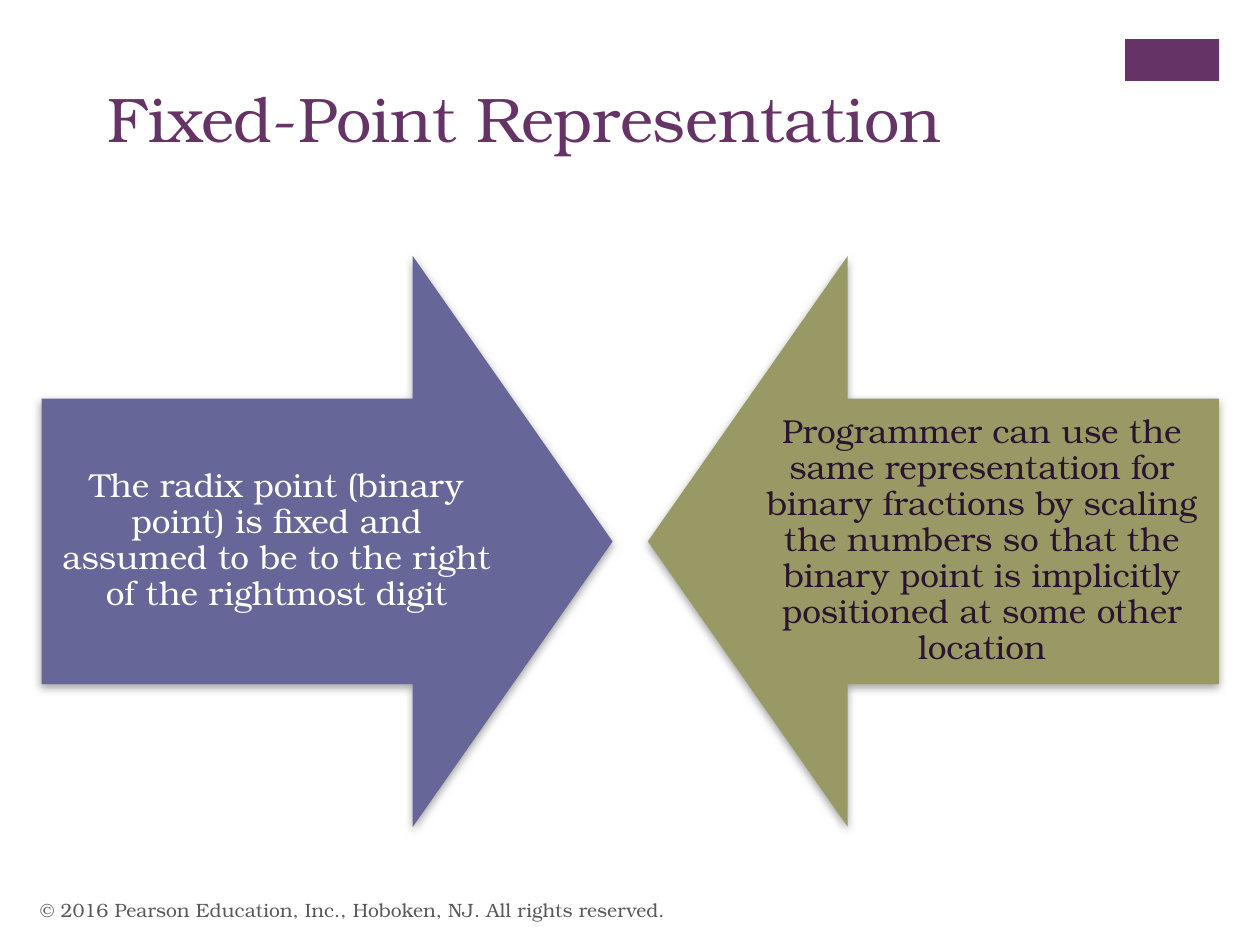
"""Build the Fixed-Point Representation slide with two facing arrows."""
from dataclasses import dataclass

from lxml import etree
from pptx import Presentation
from pptx.dml.color import RGBColor
from pptx.enum.shapes import MSO_SHAPE as Shape
from pptx.enum.text import MSO_ANCHOR as Anchor, MSO_AUTO_SIZE as AutoSize, PP_ALIGN as Align
from pptx.oxml import parse_xml
from pptx.oxml.ns import qn
from pptx.util import Cm, Pt


@dataclass(frozen=True)
class Theme:
    font: str = "TeX Gyre Bonum"
    plum: str = "663366"
    blue: str = "666699"
    olive: str = "999966"
    white: str = "FFFFFF"
    dark: str = "2B142D"
    grey: str = "595959"
    shadow: str = "808080"
    title_size: int = 36
    body_size: int = 19
    footer_size: int = 11


theme = Theme()


def add_filled(slide, kind, left, top, width, height, color):
    shape = slide.shapes.add_shape(kind, Cm(left), Cm(top), Cm(width), Cm(height))
    shape.shadow.inherit = False
    shape.fill.solid()
    shape.fill.fore_color.rgb = RGBColor.from_string(color)
    shape.line.fill.background()
    return shape


def write(shape, text, size, color, align, anchor):
    frame = shape.text_frame
    frame.word_wrap = True
    frame.auto_size = AutoSize.NONE
    frame.vertical_anchor = anchor
    paragraph = frame.paragraphs[0]
    paragraph.alignment = align
    run = paragraph.add_run()
    run.text = text
    run.font.name = theme.font
    run.font.size = Pt(size)
    run.font.color.rgb = RGBColor.from_string(color)
    return frame


presentation = Presentation()
presentation.slide_width = Cm(25.4)
presentation.slide_height = Cm(19.05)
slide = presentation.slides.add_slide(presentation.slide_layouts[5])

add_filled(slide, Shape.RECTANGLE, 22.68, 0.79, 1.9, 0.84, theme.plum)

title = slide.shapes.title
title.left, title.top, title.width, title.height = Cm(1.91), Cm(1.47), Cm(20.98), Cm(3.1)
write(title, "Fixed-Point Representation", theme.title_size, theme.plum, Align.LEFT, Anchor.TOP)

arrows = [
    (0.84, 0.84, 270, theme.blue, theme.white,
     "The radix point (binary point) is fixed and assumed to be to the right of the rightmost digit"),
    (13.06, 15.06, 90, theme.olive, theme.dark,
     "Programmer can use the same representation for binary fractions by scaling the numbers "
     "so that the binary point is implicitly positioned at some other location"),
]
for arrow_left, text_left, rotation, fill, color, text in arrows:
    arrow = add_filled(slide, Shape.DOWN_ARROW, arrow_left, 5.16, 11.51, 11.51, fill)
    arrow.rotation = rotation
    arrow.adjustments[0] = 0.5
    arrow.adjustments[1] = 0.35
    effects = arrow.element.spPr.find(qn("a:effectLst"))
    shadow = etree.SubElement(effects, qn("a:outerShdw"), blurRad=str(Pt(5)), dist=str(Pt(2)),
                              dir="5400000", rotWithShape="0")
    shadow_color = etree.SubElement(shadow, qn("a:srgbClr"), val=theme.shadow)
    etree.SubElement(shadow_color, qn("a:alpha"), val="75000")

    label = slide.shapes.add_textbox(Cm(text_left), Cm(8.03), Cm(9.47), Cm(5.74))
    frame = write(label, text, theme.body_size, color, Align.CENTER, Anchor.MIDDLE)
    frame.margin_left = frame.margin_right = frame.margin_top = frame.margin_bottom = Cm(0.38)
    frame.paragraphs[0].line_spacing = 0.9

footer = slide.shapes.add_textbox(Cm(0.56), Cm(17.83), Cm(17.02), Cm(1.02))
write(footer, "© 2016 Pearson Education, Inc., Hoboken, NJ. All rights reserved.",
      theme.footer_size, theme.grey, Align.LEFT, Anchor.MIDDLE)

presentation.save("out.pptx")
